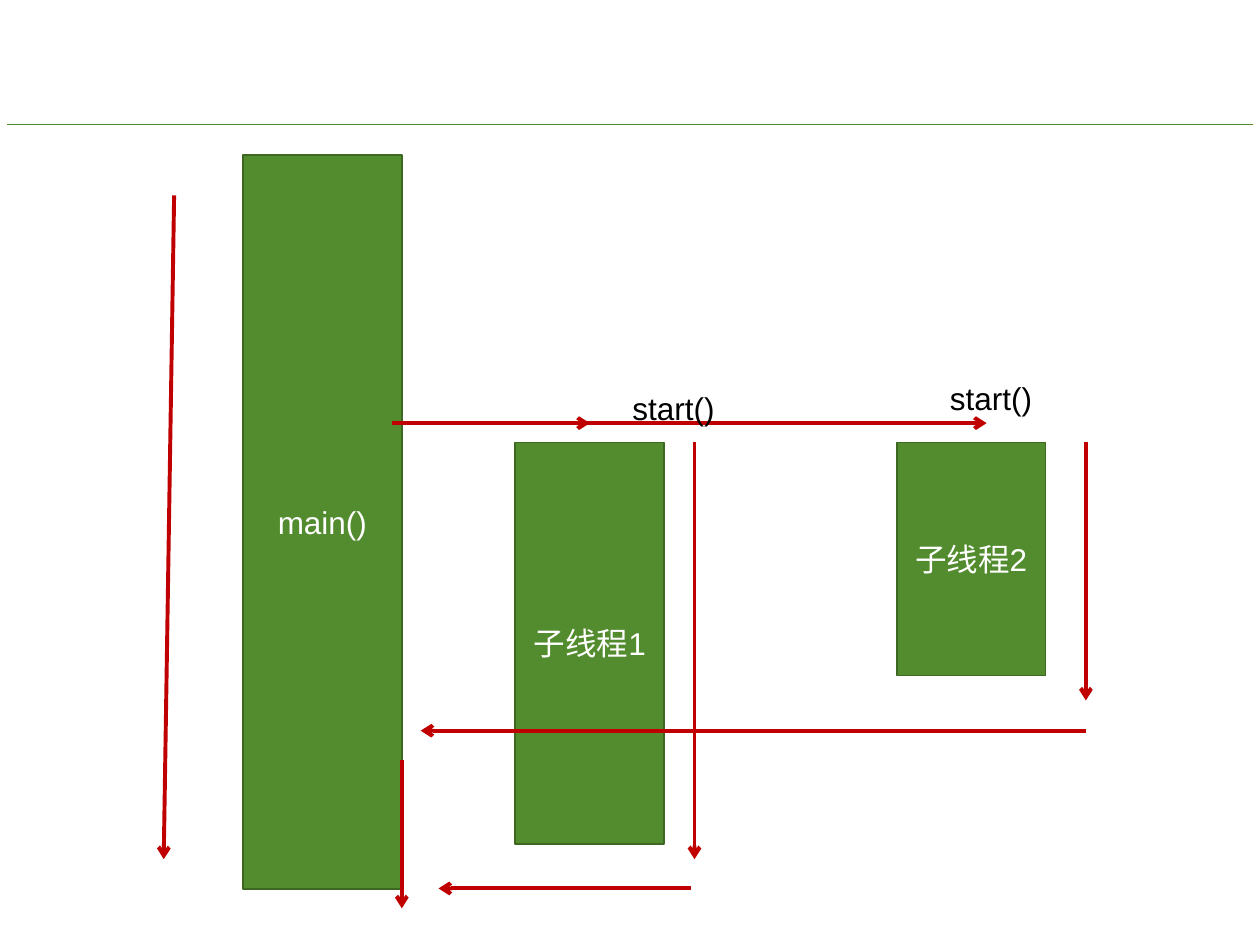
from lxml import etree
from pptx import Presentation
from pptx.dml.color import RGBColor
from pptx.enum.shapes import MSO_CONNECTOR as Connector, MSO_SHAPE as Shape
from pptx.enum.text import MSO_ANCHOR as Anchor, MSO_AUTO_SIZE as AutoSize, PP_ALIGN as Align
from pptx.oxml.ns import qn
from pptx.util import Cm, Pt

COLOURS = {
    "green": "538C2E",
    "dark green": "3D6822",
    "red": "C00000",
    "white": "FFFFFF",
    "black": "000000",
}


def colour(name):
    return RGBColor.from_string(COLOURS[name])


def write_text(frame, text, font="Arial", size=18, color="black", align=Align.LEFT):
    paragraph = frame.paragraphs[0]
    paragraph.alignment = align
    run = paragraph.add_run()
    run.text = text
    run.font.name = font
    run.font.size = Pt(size)
    run.font.color.rgb = colour(color)


class ThreadDiagram:
    """Holds the slide and the style of its bars, arrows and labels."""

    bar_fill, bar_line = "green", "dark green"
    arrow_color, arrow_width = "red", 2.25

    def __init__(self, slide):
        self.slide = slide

    def line(self, x1, y1, x2, y2, color, width):
        line = self.slide.shapes.add_connector(
            Connector.STRAIGHT, Cm(x1), Cm(y1), Cm(x2), Cm(y2))
        line.line.color.rgb = colour(color)
        line.line.width = Pt(width)
        etree.SubElement(line._element.spPr, qn("a:effectLst"))
        return line

    def arrow(self, x1, y1, x2, y2):
        arrow = self.line(x1, y1, x2, y2, self.arrow_color, self.arrow_width)
        etree.SubElement(arrow.line._get_or_add_ln(), qn("a:tailEnd"), type="arrow")

    def bar(self, text, left, top, width, height):
        bar = self.slide.shapes.add_shape(
            Shape.RECTANGLE, Cm(left), Cm(top), Cm(width), Cm(height))
        bar.shadow.inherit = False
        bar.fill.solid()
        bar.fill.fore_color.rgb = colour(self.bar_fill)
        bar.line.color.rgb = colour(self.bar_line)
        bar.line.width = Pt(1)
        bar.text_frame.word_wrap = True
        bar.text_frame.vertical_anchor = Anchor.MIDDLE
        write_text(bar.text_frame, text, color="white", align=Align.CENTER)

    def label(self, text, left, top):
        box = self.slide.shapes.add_textbox(Cm(left), Cm(top), Cm(3.61), Cm(1.02))
        box.text_frame.word_wrap = True
        box.text_frame.auto_size = AutoSize.SHAPE_TO_FIT_TEXT
        write_text(box.text_frame, text)


def main():
    presentation = Presentation()
    presentation.slide_width, presentation.slide_height = Cm(25.4), Cm(19.05)
    blank_layout = presentation.slide_layouts[6]
    diagram = ThreadDiagram(presentation.slides.add_slide(blank_layout))

    main_left, main_width = 4.9, 3.2
    main_right = main_left + main_width
    start_y, thread_top, thread_width = 8.53, 8.92, 3
    thread_end, second_flow_x = 17.32, 21.89

    diagram.line(0.15, 2.51, 25.25, 2.51, "green", 0.5)
    diagram.bar("main()", main_left, 3.12, main_width, 14.81)
    diagram.arrow(3.51, 3.94, 3.3, thread_end)
    diagram.arrow(7.9, start_y, 11.89, start_y)
    diagram.bar("子线程1", 10.39, thread_top, thread_width, 8.1)
    diagram.arrow(main_right, start_y, 19.89, start_y)
    diagram.bar("子线程2", 18.08, thread_top, thread_width, 4.7)

    for x1, y1, x2, y2 in (
        (14, thread_top, 14, thread_end),
        (second_flow_x, thread_top, second_flow_x, 14.12),
        (13.92, 17.91, 8.84, 17.91),
        (main_right, 15.32, main_right, 18.31),
        (second_flow_x, 14.73, 8.48, 14.73),
    ):
        diagram.arrow(x1, y1, x2, y2)

    for left, top in ((12.5, 7.72), (18.9, 7.52)):
        diagram.label("start()", left, top)

    presentation.save("out.pptx")


if __name__ == "__main__":
    main()
